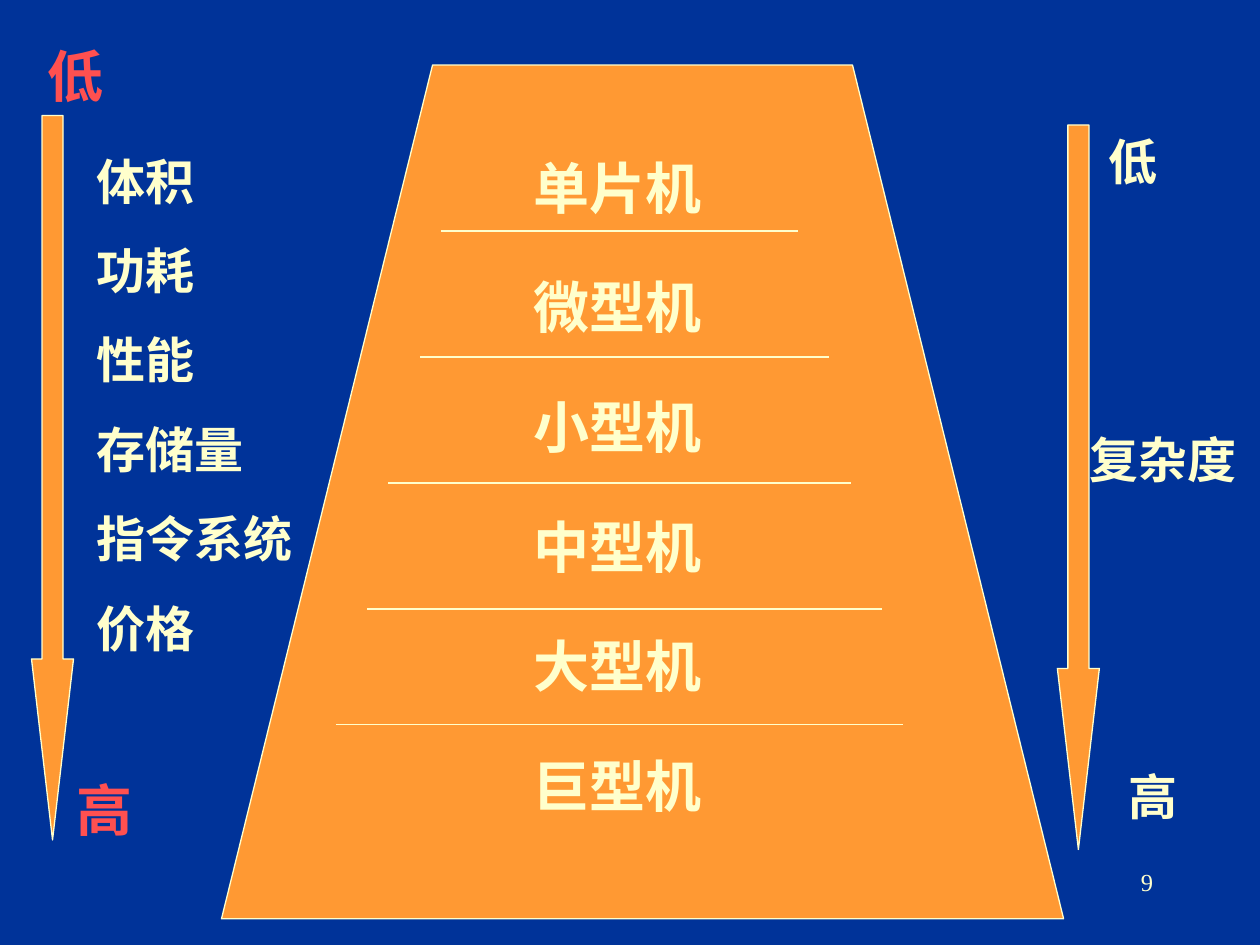
from dataclasses import dataclass

from pptx import Presentation
from pptx import util as u
from pptx.dml.color import RGBColor
from pptx.enum import shapes, text
from pptx.oxml import parse_xml
from pptx.oxml.ns import nsdecls

# Grid of 120 columns by 90 rows, twelve cells to the inch
CELL = u.Inches(1) // 12
COLS, ROWS = 120, 90
NAVY, ORANGE, CREAM, RED = "003399", "FF9933", "FFFFCC", "FF5050"


@dataclass
class Label:
    lines: list[str]
    col: float
    row: float
    width: float
    height: float
    size: float = 28
    color: str = CREAM
    bold: bool = True
    align: text.PP_ALIGN = text.PP_ALIGN.LEFT


@dataclass
class Divider:
    row: float
    left: float
    right: float


def cells(n: float) -> int:
    return round(n * CELL)


def rgb(color: str) -> RGBColor:
    return RGBColor.from_string(color)


def outline(line) -> None:
    line.color.rgb = rgb(CREAM)
    line.width = u.Pt(0.75)


def paint(sp) -> None:
    sp.shadow.inherit = False
    sp.fill.solid()
    sp.fill.fore_color.rgb = rgb(ORANGE)
    outline(sp.line)


def draw_label(s, label: Label) -> None:
    box = map(cells, (label.col, label.row, label.width, label.height))
    tf = s.shapes.add_textbox(*box).text_frame
    tf.word_wrap = True
    font_format = {"name": "Times New Roman", "size": u.Pt(label.size), "bold": label.bold}
    for i, line in enumerate(label.lines):
        p = tf.add_paragraph() if i else tf.paragraphs[0]
        p.alignment = label.align
        if i:
            p.space_before = u.Pt(label.size * 0.625)
        r = p.add_run()
        r.text = line
        for name, value in font_format.items():
            setattr(r.font, name, value)
        r.font.color.rgb = rgb(label.color)


def draw_divider(s, d: Divider) -> None:
    ends = map(cells, (d.left, d.row, d.right, d.row))
    sp = s.shapes.add_connector(shapes.MSO_CONNECTOR.STRAIGHT, *ends)
    outline(sp.line)
    sp._element.spPr.append(parse_xml(f"<a:effectLst {nsdecls('a')}/>"))


def draw_arrow(s, col: float, row: float) -> None:
    box = map(cells, (col, row, 4, 69))
    sp = s.shapes.add_shape(shapes.MSO_SHAPE.UP_ARROW, *box)
    sp.rotation = 180
    sp.adjustments[0], sp.adjustments[1] = 0.5, 4.31
    paint(sp)


def draw_outline(s, points: list[tuple[float, float]]) -> None:
    corners = [(cells(x), cells(y)) for x, y in points]
    builder = s.shapes.build_freeform(*corners[0])
    builder.add_line_segments(corners[1:], close=True)
    paint(builder.convert_to_shape())


TRAPEZOID = [(101.3, 87.5), (81.2, 6.2), (41.2, 6.2), (21.1, 87.5)]
DIVIDERS = [
    Divider(22, 42, 76),
    Divider(34, 40, 79),
    Divider(46, 37, 81),
    Divider(58, 35, 84),
    Divider(69, 32, 86),
]
MACHINES = ["单片机", "微型机", "小型机", "中型机", "大型机", "巨型机"]
FEATURES = ["体积", "功耗", "性能", "存储量", "指令系统", "价格"]
LABELS = [
    Label([name], 49.6, 14 + 11.4 * i, 21.7, 7.7, size=32)
    for i, name in enumerate(MACHINES)
] + [
    Label(FEATURES, 8, 13.8, 25.4, 49.4),
    Label(["低"], 3.3, 3.4, 6, 7.7, size=32, color=RED),
    Label(["高"], 6.1, 73.3, 6, 7.7, size=32, color=RED),
    Label(["高"], 106.3, 72.4, 6, 6.8),
    Label(["低"], 104.4, 11.9, 6, 6.8),
    Label(["复杂度"], 102.6, 40.3, 18.8, 6.8),
    Label(["9"], 86, 82, 25, 6, size=14, bold=False, align=text.PP_ALIGN.RIGHT),
]


def main() -> None:
    prs = Presentation()
    prs.slide_width, prs.slide_height = cells(COLS), cells(ROWS)
    s = prs.slides.add_slide(prs.slide_layouts[6])
    s.background.fill.solid()
    s.background.fill.fore_color.rgb = rgb(NAVY)

    # Pyramid of machine classes
    draw_outline(s, TRAPEZOID)
    for divider in DIVIDERS:
        draw_divider(s, divider)

    # Scales on the left and right
    draw_arrow(s, 3, 11)
    draw_arrow(s, 100.7, 11.9)

    # All wording, with the slide number last
    for label in LABELS:
        draw_label(s, label)

    prs.save("out.pptx")


if __name__ == "__main__":
    main()
